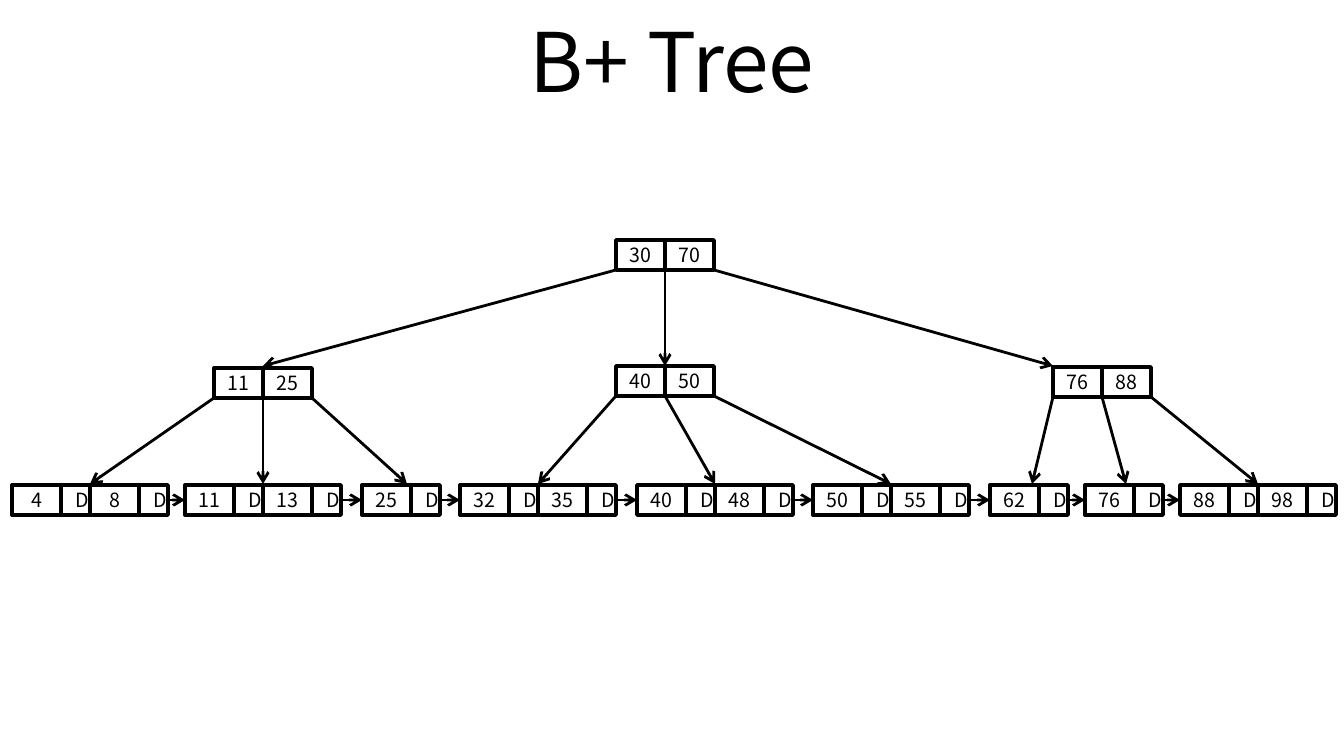
from lxml import etree
from pptx import Presentation
from pptx import util as u
from pptx.dml.color import RGBColor
from pptx.enum import shapes, text
from pptx.oxml import ns

PX = 9144000 / 1344  # EMU in one px
BLACK = RGBColor(0, 0, 0)
WHITE = RGBColor(255, 255, 255)
FONT = "Noto Sans CJK KR"
KEY_W, DATA_W, ROW_H = 49, 29, 30
PAIR_W = KEY_W + DATA_W
LEAF_TOP = 485

ROOT = (616, 240, ["30", "70"])
INNER = [
    (214, 368, ["11", "25"]),
    (616, 366, ["40", "50"]),
    (1053, 367, ["76", "88"]),
]
# left edge, keys, and where the parent's arrow lands from the left edge
LEAVES = [
    (12, ["4", "8"], 78),
    (185, ["11", "13"], 78),
    (362, ["25"], 45),
    (460, ["32", "35"], 78),
    (637, ["40", "48"], 78),
    (813, ["50", "55"], 78),
    (990, ["62"], 42),
    (1085, ["76"], 41),
    (1180, ["88", "98"], 78),
]


def px(length):
    return u.Emu(round(length * PX))


def set_font(paragraph, size):
    paragraph.alignment = text.PP_ALIGN.CENTER
    paragraph.font.name = FONT
    paragraph.font.size = u.Pt(size)
    paragraph.font.color.rgb = BLACK


def add_title(slide, left, top, width, height):
    title = slide.shapes.title
    title.left, title.top, title.width, title.height = map(px, (left, top, width, height))
    title.text_frame.text = "B+ Tree"
    title.text_frame.vertical_anchor = text.MSO_ANCHOR.MIDDLE
    set_font(title.text_frame.paragraphs[0], 44)


def add_cell(parent, left, top, width, label, inset=0):
    cell = parent.add_shape(shapes.MSO_SHAPE.ROUNDED_RECTANGLE,
                            px(left), px(top), px(width), px(ROW_H))
    cell.adjustments[0] = 0
    cell.shadow.inherit = False
    cell.fill.solid()
    cell.fill.fore_color.rgb = WHITE
    cell.line.color.rgb = BLACK
    cell.line.width = u.Pt(2)
    frame = cell.text_frame
    frame.margin_left = px(inset)
    frame.margin_right = frame.margin_top = frame.margin_bottom = 0
    frame.vertical_anchor = text.MSO_ANCHOR.MIDDLE
    frame.text = label
    set_font(frame.paragraphs[0], 10.5)
    return cell


def add_arrow(slide, start, end):
    arrow = slide.shapes.add_connector(shapes.MSO_CONNECTOR.STRAIGHT,
                                       *map(px, (*start, *end)))
    arrow.line.color.rgb = BLACK
    arrow.line.width = u.Pt(1.5)
    etree.SubElement(arrow.line._get_or_add_ln(), ns.qn("a:tailEnd"), type="arrow")
    etree.SubElement(arrow._element.spPr, ns.qn("a:effectLst"))
    return arrow


def add_index_node(slide, left, top, keys):
    for i, key in enumerate(keys):
        add_cell(slide.shapes, left + i * KEY_W, top, KEY_W, key)


def add_leaf(slide, left, top, keys):
    """Draw key and data pairs; return the leaf's first and last cells."""
    cells = []
    for i, key in enumerate(keys):
        pair = slide.shapes.add_group_shape().shapes
        x = left + i * PAIR_W
        cells.append(add_cell(pair, x, top, KEY_W, key))
        cells.append(add_cell(pair, x + KEY_W, top, DATA_W, "D", inset=13))
    return cells[0], cells[-1]


def add_child_arrows(slide, node, targets):
    left, top, _ = node
    for i, target in enumerate(targets):
        add_arrow(slide, (left + i * KEY_W, top + ROW_H), target)


def add_leaf_links(slide, leaf_ends):
    for (_, last), (first, _) in zip(leaf_ends, leaf_ends[1:]):
        link = add_arrow(slide, (0, 0), (0, 0))
        link.begin_connect(last, 3)
        link.end_connect(first, 1)


def add_tree(slide):
    # Nodes, from the leaves up
    leaf_ends = [add_leaf(slide, left, LEAF_TOP, keys) for left, keys, _ in LEAVES]
    for node in [*INNER, ROOT]:
        add_index_node(slide, *node)

    # Root to inner nodes: the last arrow lands on the node's corner
    landings = (KEY_W, KEY_W, 0)
    add_child_arrows(slide, ROOT, [(left + landing, 366)
                                   for (left, _, _), landing in zip(INNER, landings)])

    # Inner nodes to their three leaves
    for i, node in enumerate(INNER):
        add_child_arrows(slide, node, [(left + landing, LEAF_TOP - 1)
                                       for left, _, landing in LEAVES[3 * i:3 * i + 3]])

    # Chain of leaves
    add_leaf_links(slide, leaf_ends)


def main():
    deck = Presentation()
    deck.slide_width, deck.slide_height = px(1344), px(756)
    slide = deck.slides.add_slide(deck.slide_layouts[5])
    add_title(slide, 67, -3, 1210, 126)
    add_tree(slide)
    deck.save("out.pptx")


if __name__ == "__main__":
    main()
